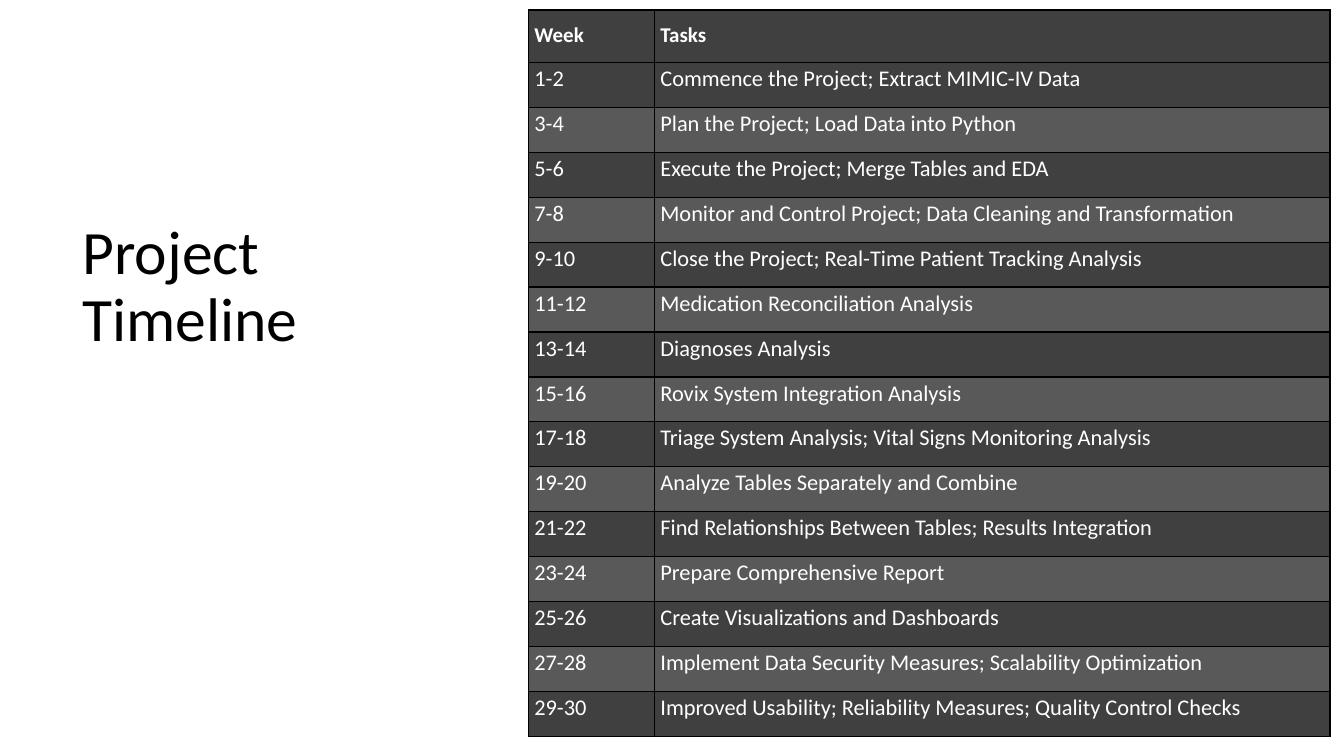
from pptx import Presentation
from pptx.dml.color import RGBColor
from pptx.enum.shapes import MSO_SHAPE
from pptx.enum.text import MSO_ANCHOR
from pptx.oxml import parse_xml
from pptx.oxml.ns import nsdecls
from pptx.util import Inches, Pt

INK = {"panel": "FFFFFF", "title": "000000", "text": "FFFFFF",
       "edge": "000000", "dark": "404040", "light": "595959"}
FONT = "Calibri"
TASKS = [
    "Commence the Project; Extract MIMIC-IV Data",
    "Plan the Project; Load Data into Python",
    "Execute the Project; Merge Tables and EDA",
    "Monitor and Control Project; Data Cleaning and Transformation",
    "Close the Project; Real-Time Patient Tracking Analysis",
    "Medication Reconciliation Analysis",
    "Diagnoses Analysis",
    "Rovix System Integration Analysis",
    "Triage System Analysis; Vital Signs Monitoring Analysis",
    "Analyze Tables Separately and Combine",
    "Find Relationships Between Tables; Results Integration",
    "Prepare Comprehensive Report",
    "Create Visualizations and Dashboards",
    "Implement Data Security Measures; Scalability Optimization",
    "Improved Usability; Reliability Measures; Quality Control Checks",
]


def style(para, size, color, bold=False):
    for run in para.runs:
        font = run.font
        font.name, font.size, font.bold = FONT, Pt(size), bold
        font.color.rgb = RGBColor.from_string(INK[color])


def edge(cell):
    props = cell._tc.get_or_add_tcPr()
    for side in "LRTB":
        props.append(parse_xml(
            f'<a:ln{side} {nsdecls("a")} w="{Pt(1)}"><a:solidFill>'
            f'<a:srgbClr val="{INK["edge"]}"/></a:solidFill></a:ln{side}>'))


deck = Presentation()
deck.slide_width, deck.slide_height = Inches(13.33), Inches(7.5)
slide = deck.slides.add_slide(deck.slide_layouts[6])

for share in (1, 0.75):
    panel = slide.shapes.add_shape(
        MSO_SHAPE.RECTANGLE, 0, 0, Inches(5.05), int(deck.slide_height * share))
    panel.shadow.inherit = False
    panel.fill.solid()
    panel.fill.fore_color.rgb = RGBColor.from_string(INK["panel"])
    panel.line.fill.background()

title = slide.shapes.add_textbox(Inches(0.72), Inches(0.68), Inches(3.81), Inches(4.36))
frame = title.text_frame
frame.word_wrap = True
frame.vertical_anchor = MSO_ANCHOR.MIDDLE
frame.text = "Project Timeline"
frame.paragraphs[0].line_spacing = 0.9
style(frame.paragraphs[0], 44, "title")

rows = [("Week", "Tasks")]
rows += [(f"{2 * n - 1}-{2 * n}", task) for n, task in enumerate(TASKS, 1)]
wide, tall, head = Inches(7.95), Inches(7.21), Inches(0.52)
table = slide.shapes.add_table(len(rows), 2, Inches(5.24), Inches(0.1), wide, tall).table
table.columns[0].width = Inches(1.25)
table.columns[1].width = wide - Inches(1.25)

for r, row in enumerate(rows):
    table.rows[r].height = head if r == 0 else (tall - head) // len(TASKS)
    for c, text in enumerate(row):
        cell = table.cell(r, c)
        edge(cell)
        cell.fill.solid()
        shade = "light" if r and r % 2 == 0 else "dark"
        cell.fill.fore_color.rgb = RGBColor.from_string(INK[shade])
        cell.margin_left, cell.margin_top = Inches(0.06), Inches(0.02)
        cell.margin_right, cell.margin_bottom = Inches(0.03), Inches(0.14)
        cell.vertical_anchor = MSO_ANCHOR.MIDDLE if r else MSO_ANCHOR.BOTTOM
        cell.text_frame.text = text
        style(cell.text_frame.paragraphs[0], 16 if r else 15, "text", r == 0)

deck.save("out.pptx")
